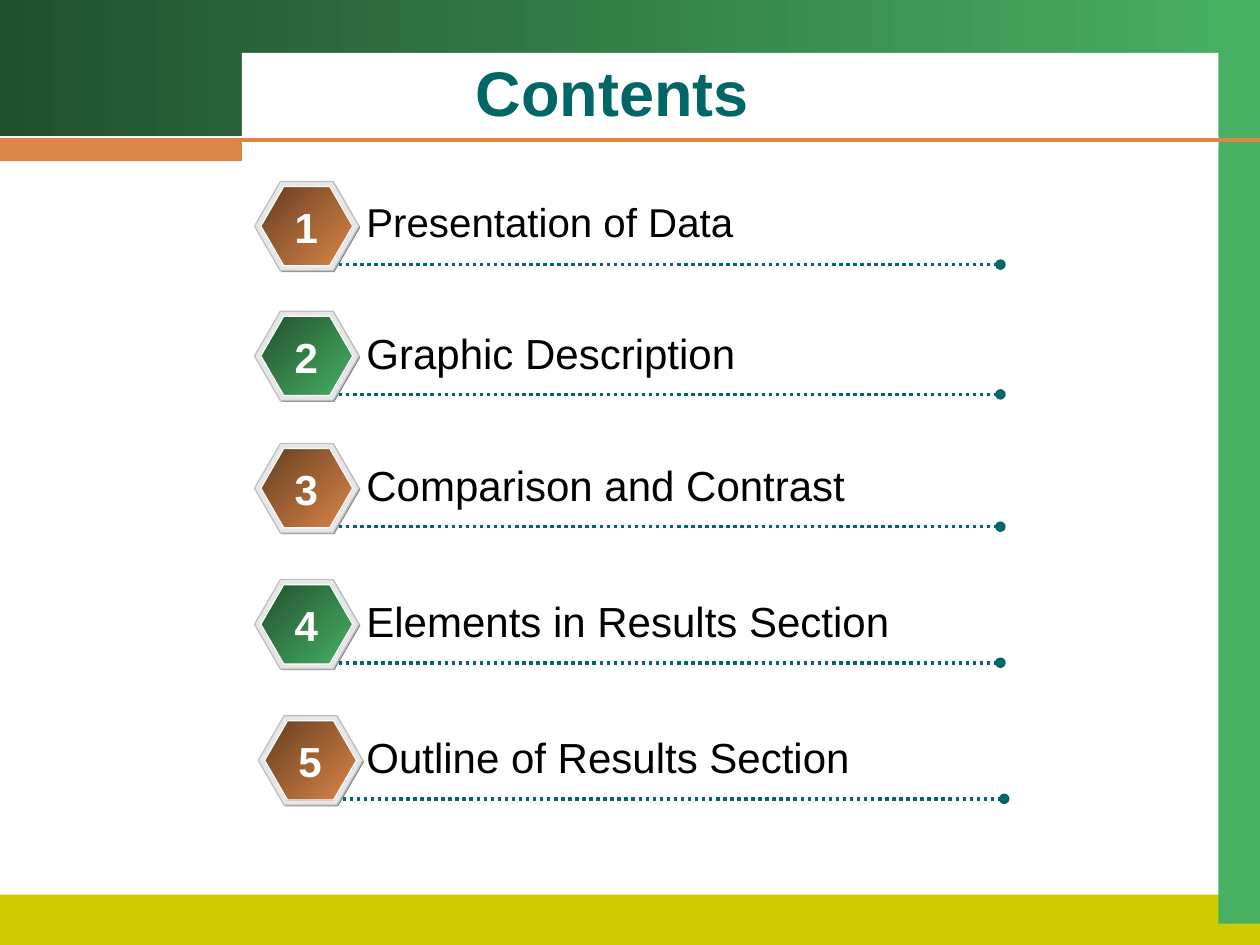
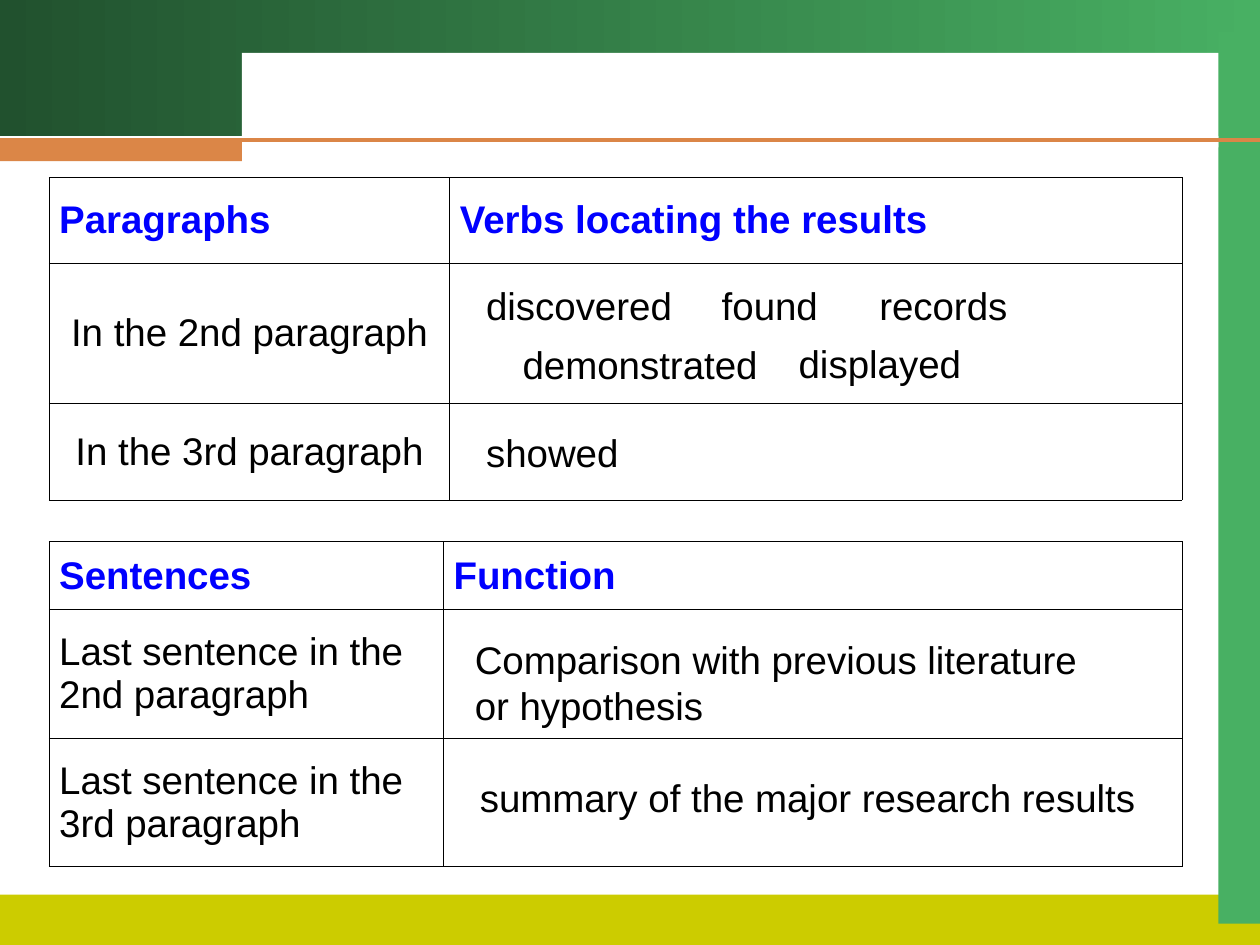
from lxml import etree
from pptx import Presentation
from pptx.dml.color import RGBColor
from pptx.enum.dml import MSO_LINE
from pptx.enum.shapes import MSO_CONNECTOR, MSO_SHAPE
from pptx.enum.text import MSO_ANCHOR, MSO_AUTO_SIZE, PP_ALIGN
from pptx.oxml.ns import qn
from pptx.util import Pt

RECT, HEXAGON = MSO_SHAPE.RECTANGLE, MSO_SHAPE.HEXAGON
STRAIGHT, DOTTED = MSO_CONNECTOR.STRAIGHT, MSO_LINE.ROUND_DOT
LEFT, CENTER, JUSTIFY = PP_ALIGN.LEFT, PP_ALIGN.CENTER, PP_ALIGN.JUSTIFY
MIDDLE = MSO_ANCHOR.MIDDLE
FIT, NO_FIT = MSO_AUTO_SIZE.SHAPE_TO_FIT_TEXT, MSO_AUTO_SIZE.NONE

PX = 9144
FONT = "Arial"
COLORS = {
    "forest": "21512E", "green": "48B063", "olive": "CCCC00",
    "brown": "653E21", "orange": "DB8647", "teal": "006666",
    "shade": "808080", "rim": "E6E6E6", "rim_line": "C0C0C0",
    "white": "FFFFFF", "black": "000000", "blue": "0000FF",
}
GREENS, ORANGES = ("forest", "green"), ("brown", "orange")

BANDS = [
    ((0, 0, 1000, 108), GREENS),
    ((0, 710, 1000, 40), "olive"),
    ((967, 25, 33, 708), "green"),
    ((192, 42, 775, 75), "white"),
    ((0, 111, 192, 17), "orange"),
]
RULE_Y = 111

TITLE = "Contents"
CONTENTS = [
    ("Presentation of Data", 202, 144, 23),
    ("Graphic Description", 202, 247, 24),
    ("Comparison and Contrast", 202, 352, 24),
    ("Elements in Results Section", 202, 460, 24),
    ("Outline of Results Section", 205, 568, 24),
]

TABLES = [
    {
        "at": (39, 141), "cols": (318, 581), "rows": (68, 111, 77),
        "head": ("Paragraphs", "Verbs locating the results"),
        "labels": ("In the 2nd paragraph", "In the 3rd paragraph"),
        "head_align": JUSTIFY, "label_align": CENTER,
    },
    {
        "at": (39, 430), "cols": (313, 586), "rows": (54, 102, 102),
        "head": ("Sentences", "Function"),
        "labels": ("Last sentence in the 2nd paragraph",
                   "Last sentence in the 3rd paragraph"),
        "head_align": LEFT, "label_align": LEFT,
    },
]
ANSWERS = [
    ("Comparison with previous literature or hypothesis", (367, 500, 510, 84)),
    ("summary of the major research results", (371, 609, 560, 47)),
    ("discovered", (376, 219, 180, 47)),
    ("found", (563, 219, 110, 47)),
    ("records", (688, 219, 135, 47)),
    ("demonstrated", (405, 266, 217, 47)),
    ("displayed", (624, 265, 165, 47)),
    ("showed", (376, 336, 140, 47)),
]


def rgb(name):
    return RGBColor.from_string(COLORS[name])


def emu(*lengths):
    return [n * PX for n in lengths]


def paint(fill, color, angle=0):
    if isinstance(color, str):
        fill.solid()
        fill.fore_color.rgb = rgb(color)
        return
    fill.gradient()
    fill.gradient_angle = angle
    for stop, name in zip(fill.gradient_stops, color):
        stop.color.rgb = rgb(name)


def add_shape(slide, kind, box, color, line=None, angle=0):
    sp = slide.shapes.add_shape(kind, *emu(*box))
    sp.shadow.inherit = False
    paint(sp.fill, color, angle)
    if line:
        sp.line.color.rgb = rgb(line)
        sp.line.width = Pt(0.75)
    else:
        sp.line.fill.background()
    if kind == HEXAGON:
        sp.adjustments[0] = 0.289
    return sp


def add_line(slide, x1, x2, y, color, width):
    line = slide.shapes.add_connector(STRAIGHT, *emu(x1, y, x2, y))
    line.line.color.rgb = rgb(color)
    line.line.width = Pt(width)
    etree.SubElement(line.element.spPr, qn("a:effectLst"))
    return line


def style(p, size, color="black", bold=False, align=LEFT):
    p.alignment = align
    p.font.name, p.font.size, p.font.bold = FONT, Pt(size), bold
    p.font.color.rgb = rgb(color)


def add_text(slide, text, box, size, **look):
    tf = slide.shapes.add_textbox(*emu(*box)).text_frame
    tf.word_wrap, tf.auto_size = True, FIT
    tf.text = text
    style(tf.paragraphs[0], size, **look)


def build_master(prs, slide):
    bands = [add_shape(slide, RECT, box, color) for box, color in BANDS]
    bands.append(add_line(slide, 0, 1000, RULE_Y, "orange", 2.25))
    tree = prs.slide_master.element.cSld.spTree
    for i, sp in enumerate(bands, 2):
        tree.insert(i, sp.element)


def add_title(slide, text):
    title = slide.shapes.title
    title.left, title.top, title.width, title.height = emu(289, 39, 394, 67)
    tf = title.text_frame
    tf.text = text
    tf.auto_size, tf.vertical_anchor = NO_FIT, MIDDLE
    style(tf.paragraphs[0], 36, "teal", True, CENTER)


def add_entry(slide, number, text, x, y, size):
    add_shape(slide, HEXAGON, (x + 1, y + 1, 83, 71), "shade")
    add_shape(slide, HEXAGON, (x, y, 83, 71), "rim", "rim_line")
    face = ORANGES if number % 2 else GREENS
    add_shape(slide, HEXAGON, (x + 5, y + 4, 73, 63), face, "white", 315)
    line = add_line(slide, x + 67, x + 592, y + 66, "teal", 2)
    line.line.dash_style = DOTTED
    ln = line.element.spPr.find(qn("a:ln"))
    etree.SubElement(ln, qn("a:tailEnd"), type="oval")
    add_text(slide, text, (281, y + 8, 523, 50), size)
    add_text(slide, str(number), (x + 20, y + 11, 42, 50), 24,
             color="white", bold=True, align=CENTER)


def add_borders(cell):
    tcPr = cell._tc.get_or_add_tcPr()
    for i, side in enumerate(("lnL", "lnR", "lnT", "lnB")):
        ln = etree.Element(qn(f"a:{side}"), w=str(Pt(0.45)))
        fill = etree.SubElement(ln, qn("a:solidFill"))
        etree.SubElement(fill, qn("a:srgbClr"), val=COLORS["black"])
        tcPr.insert(i, ln)


def fill_cell(cell, text, **look):
    cell.text = text
    cell.vertical_anchor = MIDDLE
    cell.margin_left, cell.margin_right = emu(8, 8)
    style(cell.text_frame.paragraphs[0], 22, **look)


def add_grid(slide, grid):
    cols, rows = grid["cols"], grid["rows"]
    box = emu(*grid["at"], sum(cols), sum(rows))
    table = slide.shapes.add_table(len(rows), len(cols), *box).table
    table.first_row = table.horz_banding = False
    for column, width in zip(table.columns, cols):
        column.width = width * PX
    for row, height in zip(table.rows, rows):
        row.height = height * PX
    for cell in table.iter_cells():
        cell.fill.background()
        add_borders(cell)
    for c, text in enumerate(grid["head"]):
        fill_cell(table.cell(0, c), text, color="blue", bold=True,
                  align=grid["head_align"])
    for r, text in enumerate(grid["labels"], 1):
        fill_cell(table.cell(r, 0), text, align=grid["label_align"])


def main():
    prs = Presentation()
    prs.slide_width, prs.slide_height = emu(1000, 750)

    contents = prs.slides.add_slide(prs.slide_layouts[5])
    build_master(prs, contents)
    add_title(contents, TITLE)
    for number, entry in enumerate(CONTENTS, 1):
        add_entry(contents, number, *entry)

    exercise = prs.slides.add_slide(prs.slide_layouts[6])
    for grid in TABLES:
        add_grid(exercise, grid)
    for text, box in ANSWERS:
        add_text(exercise, text, box, 22)

    prs.save("out.pptx")


if __name__ == "__main__":
    main()
